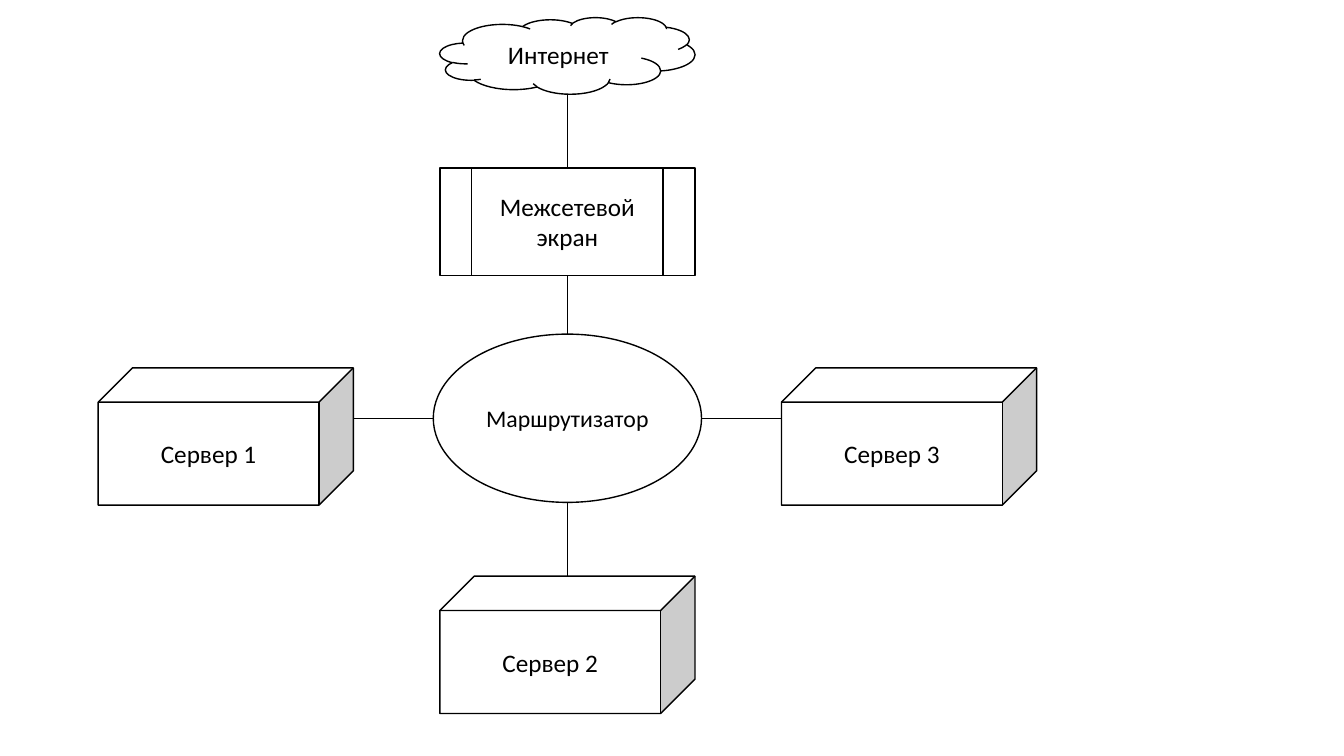
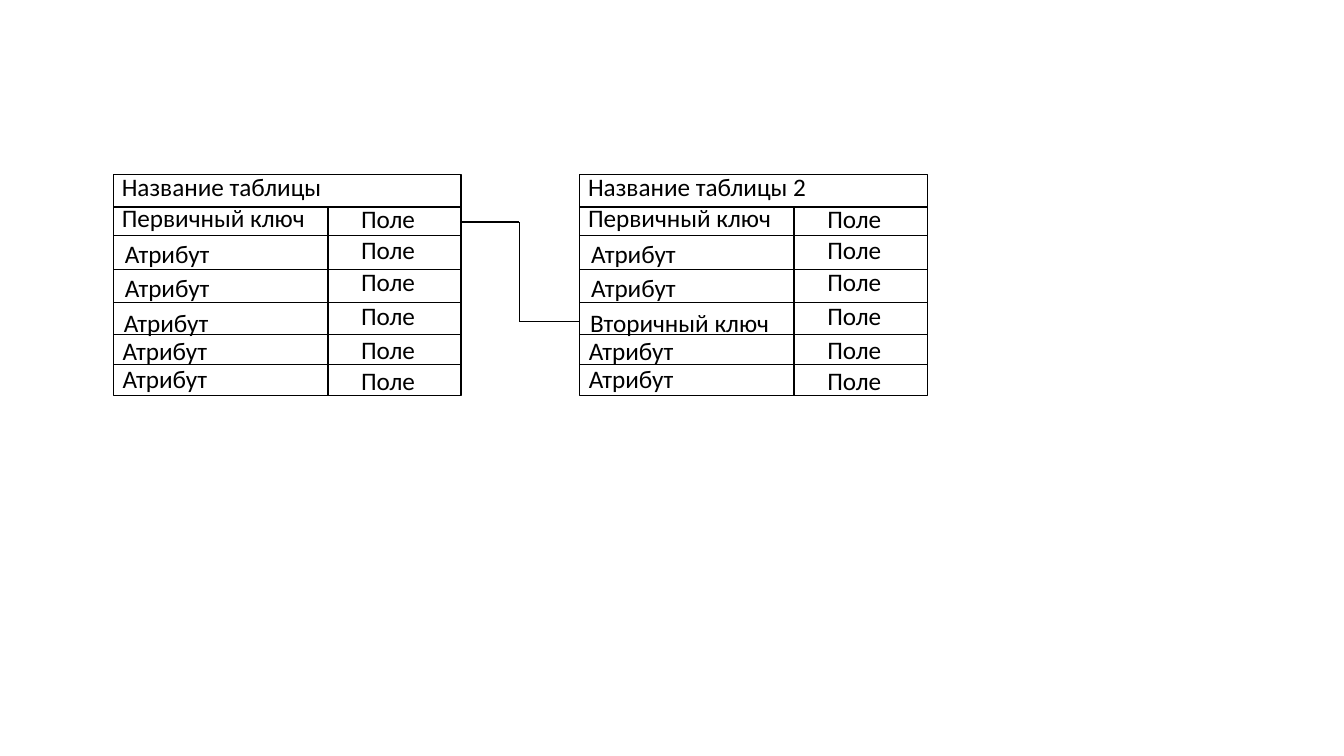
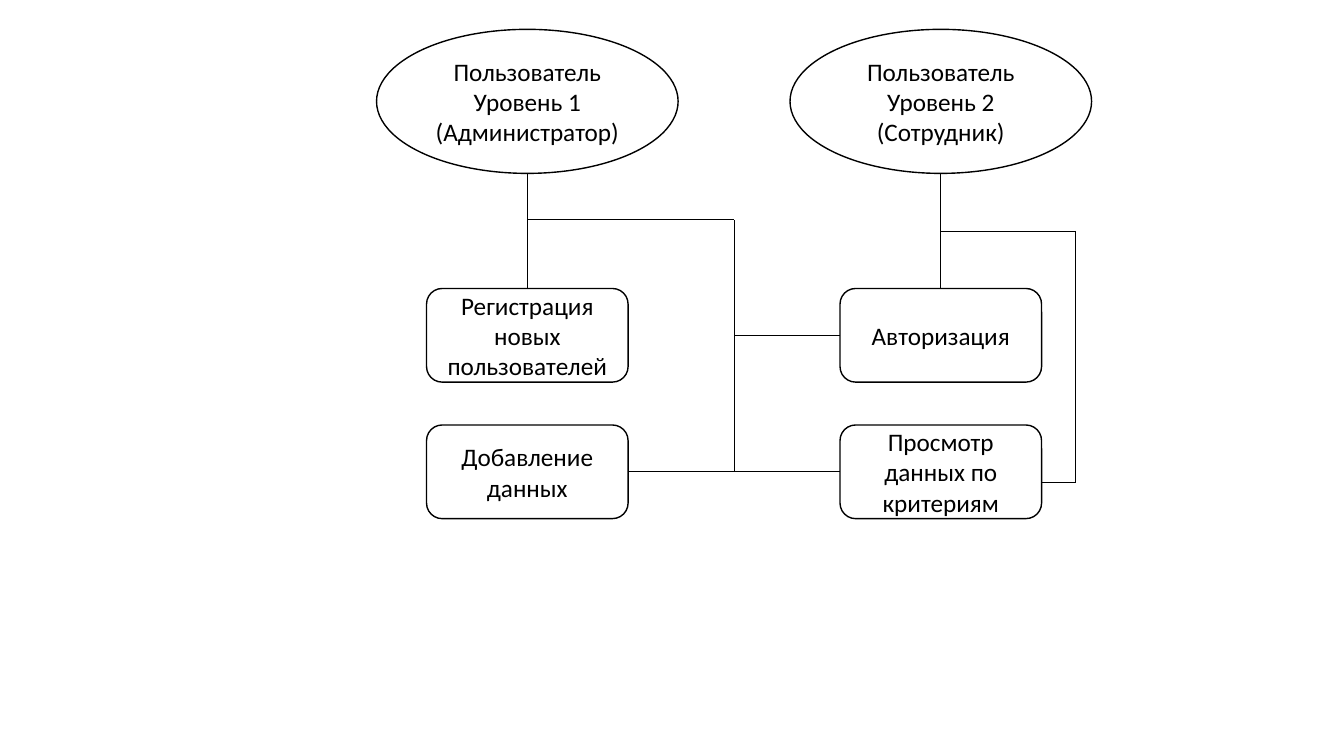
"""Build three schematic slides: a network, a table relation and user roles."""
from dataclasses import dataclass
from itertools import pairwise

from lxml.etree import SubElement
from pptx import Presentation
from pptx.dml.color import RGBColor
from pptx.enum.shapes import MSO_CONNECTOR as Link
from pptx.enum.shapes import MSO_SHAPE as Kind
from pptx.enum.text import MSO_ANCHOR as Anchor
from pptx.enum.text import PP_ALIGN as Align
from pptx.oxml.ns import qn
from pptx.slide import Slide
from pptx.text.text import TextFrame
from pptx.util import Cm, Pt

COLORS = {"paper": "FFFFFF", "ink": "000000"}
FONT = "Calibri"
HAIRLINE, OUTLINE, RULE = 0.5, 1, 1.5

ENTITY_TOP, ENTITY_WIDTH, ENTITY_HEIGHT = 4.4, 8.76, 5.57
DIVIDER, VALUE_INDENT, LABEL_HEIGHT = 5.4, 5.99, 1.02
ROW_TOPS = (5.21, 5.94, 6.78, 7.62, 8.43, 9.19)
NAME_TOPS = (4.98, 5.87, 6.73, 7.62, 8.33, 9.04)
NAME_INDENTS = (-0.04, 0.04, 0.04, 0.01, -0.02, -0.02)
VALUE_TOPS = (5.0, 5.79, 6.58, 7.44, 8.31, 9.07)
TITLE, SECOND_TITLE = "Название таблицы", "Название таблицы 2"
PRIMARY, FOREIGN, ATTRIBUTE, VALUE = "Первичный ключ", "Вторичный ключ", "Атрибут", "Поле"
LABEL_WIDTHS = {TITLE: 5.59, SECOND_TITLE: 6.07, PRIMARY: 5.18, FOREIGN: 5.08,
                ATTRIBUTE: 2.67, VALUE: 1.88}

Point = tuple[float, float]


@dataclass(frozen=True)
class Node:
    """A labelled shape placed by its centre line and top, in centimetres."""

    kind: Kind
    label: str
    center: float
    top: float
    width: float
    height: float
    size: float = 18

    @property
    def left(self) -> float:
        """Return the left edge."""
        return self.center - self.width / 2

    @property
    def right(self) -> float:
        """Return the right edge."""
        return self.center + self.width / 2

    @property
    def bottom(self) -> float:
        """Return the bottom edge."""
        return self.top + self.height

    @property
    def middle(self) -> float:
        """Return the height of the horizontal axis."""
        return self.top + self.height / 2


@dataclass(frozen=True)
class Entity:
    """A database table in the diagram: its title, left edge and field names."""

    title: str
    left: float
    fields: tuple[str, ...]

    @property
    def right(self) -> float:
        """Return the right edge."""
        return self.left + ENTITY_WIDTH


def write(frame: TextFrame, text: str, *, size: float = 18, color: str = "ink",
          align: Align = Align.CENTER) -> None:
    """Put text into a frame, one paragraph a line."""
    frame.text = text
    for paragraph in frame.paragraphs:
        paragraph.alignment = align
        for run in paragraph.runs:
            run.font.name = FONT
            run.font.size = Pt(size)
            run.font.color.rgb = RGBColor.from_string(COLORS[color])


def draw_node(slide: Slide, node: Node) -> None:
    """Draw one outlined shape with its label."""
    shape = slide.shapes.add_shape(node.kind, Cm(node.left), Cm(node.top),
                                   Cm(node.width), Cm(node.height))
    shape.shadow.inherit = False
    shape.fill.solid()
    shape.fill.fore_color.rgb = RGBColor.from_string(COLORS["paper"])
    shape.line.color.rgb = RGBColor.from_string(COLORS["ink"])
    shape.line.width = Pt(OUTLINE)
    shape.text_frame.vertical_anchor = Anchor.MIDDLE
    write(shape.text_frame, node.label, size=node.size)


def draw_route(slide: Slide, *points: Point, width: float = HAIRLINE) -> None:
    """Join the points with straight lines."""
    for (x1, y1), (x2, y2) in pairwise(points):
        segment = slide.shapes.add_connector(Link.STRAIGHT, Cm(x1), Cm(y1), Cm(x2), Cm(y2))
        segment.line.color.rgb = RGBColor.from_string(COLORS["ink"])
        segment.line.width = Pt(width)
        SubElement(segment._element.spPr, qn("a:effectLst"))


def draw_label(slide: Slide, text: str, left: float, top: float) -> None:
    """Write one unwrapped line of an entity."""
    frame = slide.shapes.add_textbox(Cm(left), Cm(top), Cm(LABEL_WIDTHS[text]),
                                     Cm(LABEL_HEIGHT)).text_frame
    frame.word_wrap = False
    write(frame, text, align=Align.LEFT)


def draw_entity(slide: Slide, entity: Entity) -> None:
    """Draw an entity with its title, rules, field names and values."""
    box = Node(Kind.RECTANGLE, "", entity.left + ENTITY_WIDTH / 2, ENTITY_TOP,
               ENTITY_WIDTH, ENTITY_HEIGHT)
    draw_node(slide, box)
    for row, top in enumerate(ROW_TOPS):
        draw_route(slide, (box.left, top), (box.right, top), width=HAIRLINE if row else RULE)
    divider = box.left + DIVIDER
    draw_route(slide, (divider, ROW_TOPS[0]), (divider, box.bottom), width=RULE)
    draw_label(slide, entity.title, box.left - 0.04, 4.19)
    for name, indent, name_top, value_top in zip(entity.fields, NAME_INDENTS,
                                                 NAME_TOPS, VALUE_TOPS):
        draw_label(slide, name, box.left + indent, name_top)
        draw_label(slide, VALUE, box.left + VALUE_INDENT, value_top)


def draw_network(slide: Slide) -> None:
    """Draw the internet, firewall, router and three servers."""
    axis, reach, width = 14.3, 8.61, 6.43
    internet = Node(Kind.CLOUD, "Интернет", axis, 0.44, width, 1.93)
    firewall = Node(Kind.FLOWCHART_PREDEFINED_PROCESS, "Межсетевой экран",
                    axis, 4.23, width, 2.71)
    router = Node(Kind.OVAL, "Маршрутизатор", axis, 8.42, 6.76, 4.24, size=17)
    places = ((axis - reach, 9.27), (axis, 14.52), (axis + reach, 9.27))
    servers = [Node(Kind.CUBE, f"Сервер {number}", center, top, width, 3.46)
               for number, (center, top) in enumerate(places, 1)]
    for node in (internet, firewall, router, *servers):
        draw_node(slide, node)
    for upper, lower in pairwise((internet, firewall, router, servers[1])):
        draw_route(slide, (axis, upper.bottom), (axis, lower.top))
    for start, end in ((servers[0], router), (router, servers[2])):
        draw_route(slide, (start.right, router.middle), (end.left, router.middle))


def draw_relation(slide: Slide) -> None:
    """Draw two entities and the key that joins them."""
    source = Entity(TITLE, 2.86, (PRIMARY, *[ATTRIBUTE] * 5))
    target = Entity(SECOND_TITLE, 14.61,
                    (PRIMARY, ATTRIBUTE, ATTRIBUTE, FOREIGN, ATTRIBUTE, ATTRIBUTE))
    for entity in (source, target):
        draw_entity(slide, entity)
    bend, primary, foreign = 13.09, 5.59, 8.1
    draw_route(slide, (source.right, primary), (bend, primary), (bend, foreign),
               (target.left, foreign), width=OUTLINE)


def draw_roles(slide: Slide) -> None:
    """Draw two user levels and the actions open to them."""
    roles = (("Администратор", 13.29), ("Сотрудник", 23.71))
    users = [Node(Kind.OVAL, f"Пользователь\nУровень {level} ({role})", center, 0.74, 7.6, 3.63)
             for level, (role, center) in enumerate(roles, 1)]
    labels = (("Регистрация новых пользователей", "Авторизация"),
              ("Добавление данных", "Просмотр данных по критериям"))
    actions = [[Node(Kind.ROUNDED_RECTANGLE, label, user.center, top, 5.08, 2.36)
                for label, user in zip(row, users)]
               for row, top in zip(labels, (7.27, 10.71))]
    (registration, login), (adding, viewing) = actions
    for node in (*users, *actions[0], *actions[1]):
        draw_node(slide, node)
    for user, action in zip(users, (registration, login)):
        draw_route(slide, (user.center, user.bottom), (user.center, action.top))
    admin, employee = (user.center for user in users)
    trunk, junction, bypass, entry = 18.5, 18.01, 27.09, 12.16
    draw_route(slide, (admin, 5.54), (trunk, 5.54), (trunk, adding.middle))
    draw_route(slide, (adding.right, adding.middle), (junction, adding.middle),
               (viewing.left, viewing.middle))
    draw_route(slide, (trunk, login.middle), (login.left, login.middle))
    draw_route(slide, (employee, 5.82), (bypass, 5.82), (bypass, entry), (viewing.right, entry))


def main() -> None:
    """Create the presentation and save it."""
    deck = Presentation()
    deck.slide_width, deck.slide_height = Cm(33.87), Cm(19.05)
    for draw in (draw_network, draw_relation, draw_roles):
        draw(deck.slides.add_slide(deck.slide_layouts[6]))
    deck.save("out.pptx")


main()
